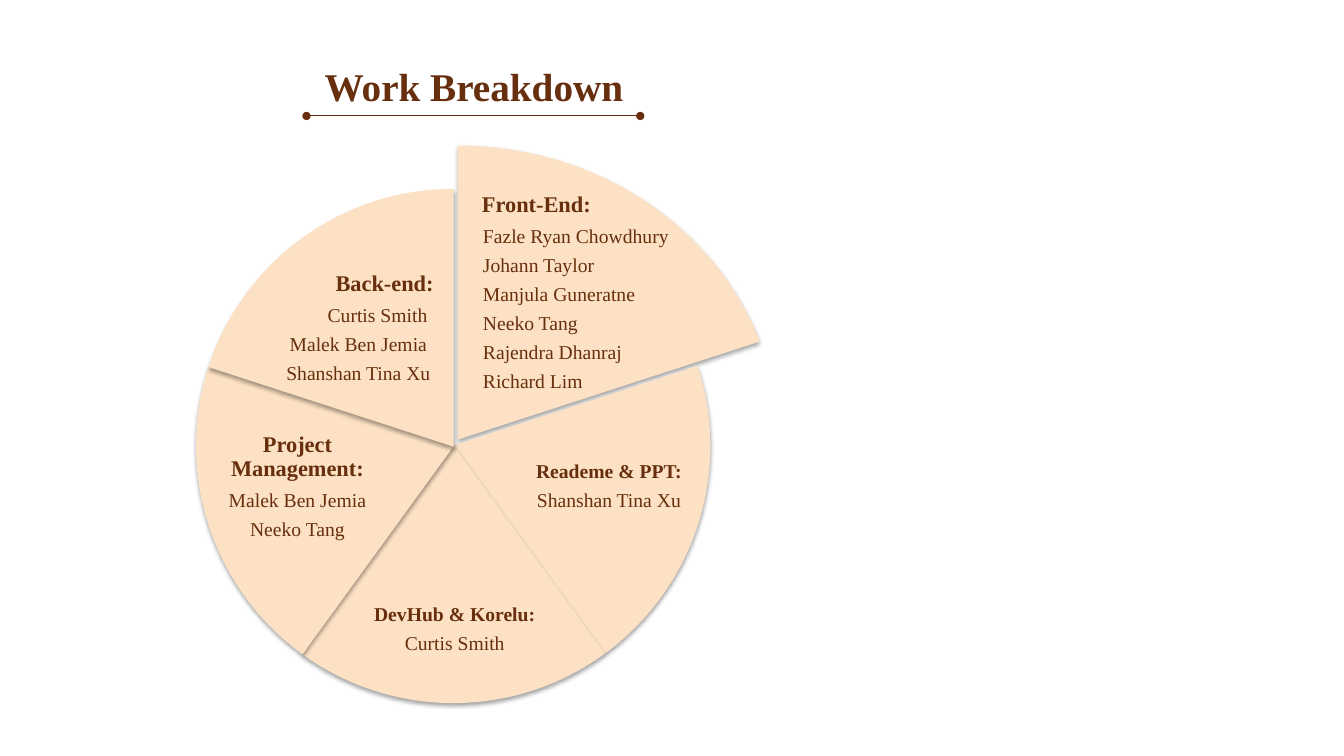
import pptx
import pptx.dml.color
import pptx.enum.shapes
import pptx.enum.text
import pptx.oxml
import pptx.oxml.ns
import pptx.util
from dataclasses import dataclass

Inches = pptx.util.Inches
Pt = pptx.util.Pt
Align = pptx.enum.text.PP_ALIGN
Anchor = pptx.enum.text.MSO_ANCHOR


@dataclass(frozen=True)
class Theme:
    brown: str = "672F0D"
    peach: str = "FCE1C4"
    shadow: str = "000000"
    font: str = "Times New Roman"
    title: int = 28
    heading: int = 16
    body: int = 14
    line: float = 0.75
    inset: float = 0.02


class SlideBuilder:
    def __init__(self, slide, theme):
        self.slide = slide
        self.theme = theme

    def color(self, value):
        return pptx.dml.color.RGBColor.from_string(value)

    def box(self, shape, left, top, width, height):
        shape.left, shape.top = Inches(left), Inches(top)
        shape.width, shape.height = Inches(width), Inches(height)

    def style(self, paragraph, size, bold, align):
        paragraph.alignment = align
        for run in paragraph.runs:
            run.font.name = self.theme.font
            run.font.size = Pt(size)
            run.font.bold = bold
            run.font.color.rgb = self.color(self.theme.brown)

    def title(self, text, *place):
        shape = self.slide.shapes.title
        self.box(shape, *place)
        frame = shape.text_frame
        frame.text = text
        frame.auto_size = pptx.enum.text.MSO_AUTO_SIZE.NONE
        frame.vertical_anchor = Anchor.MIDDLE
        self.style(frame.paragraphs[0], self.theme.title, True, Align.CENTER)

    def underline(self, left, right, top):
        connector = self.slide.shapes.add_connector(
            pptx.enum.shapes.MSO_CONNECTOR.STRAIGHT,
            Inches(left), Inches(top), Inches(right), Inches(top))
        connector.line.color.rgb = self.color(self.theme.brown)
        connector.line.width = Pt(self.theme.line)
        outline = connector.line._get_or_add_ln()
        for end in ("a:headEnd", "a:tailEnd"):
            pptx.oxml.ns.qn(end)
            outline.append(pptx.oxml.parse_xml(
                f'<{end} {pptx.oxml.ns.nsdecls("a")} type="oval"/>'))
        connector._element.spPr.append(pptx.oxml.parse_xml(
            f'<a:effectLst {pptx.oxml.ns.nsdecls("a")}/>'))

    def slice(self, start, end, *place):
        shape = self.slide.shapes.add_shape(
            pptx.enum.shapes.MSO_SHAPE.PIE, *map(Inches, place))
        shape.adjustments[0] = start * 0.6
        shape.adjustments[1] = end * 0.6
        shape.fill.solid()
        shape.fill.fore_color.rgb = self.color(self.theme.peach)
        shape.line.color.rgb = self.color(self.theme.peach)
        shape.line.width = Pt(self.theme.line)
        shape.shadow.inherit = False
        effects = shape._element.spPr.find(pptx.oxml.ns.qn("a:effectLst"))
        effects.append(pptx.oxml.parse_xml(
            f'<a:outerShdw {pptx.oxml.ns.nsdecls("a")} blurRad="{Pt(3.1)}" '
            f'dist="{Pt(1.8)}" dir="5400000" rotWithShape="0">'
            f'<a:srgbClr val="{self.theme.shadow}"><a:alpha val="35000"/>'
            f'</a:srgbClr></a:outerShdw>'))

    def team(self, heading, members, place, size, align=Align.CENTER,
             anchor=Anchor.MIDDLE, indents=(), bottom=None):
        shape = self.slide.shapes.add_textbox(*map(Inches, place))
        frame = shape.text_frame
        frame.word_wrap = True
        frame.vertical_anchor = anchor
        inset = Inches(self.theme.inset)
        frame.margin_left = frame.margin_right = frame.margin_top = inset
        frame.margin_bottom = inset if bottom is None else Inches(bottom)
        frame.text = "\n".join([heading, *members])
        for index, paragraph in enumerate(frame.paragraphs):
            points = self.theme.body if index else size
            self.style(paragraph, points, index == 0, align)
            paragraph.line_spacing = 0.9
            paragraph.space_after = Pt(points * 0.4)
            if index < len(indents):
                properties = paragraph._p.get_or_add_pPr()
                properties.set("marL", str(Inches(indents[index])))


def main():
    theme = Theme()
    presentation = pptx.Presentation()
    presentation.slide_width = Inches(13.33)
    presentation.slide_height = Inches(7.5)
    slide = presentation.slides.add_slide(presentation.slide_layouts[5])
    builder = SlideBuilder(slide, theme)
    builder.title("Work Breakdown", 2.85, 0.56, 3.7, 0.59)
    builder.underline(3.04, 6.35, 1.15)

    circle = (1.95, 1.88, 5.09, 5.09)
    front_end = (1.38, 1.45, 6.33, 5.81)
    teams = [
        (front_end, dict(
            heading="Front-End:",
            members=["Fazle Ryan Chowdhury", "Johann Taylor", "Manjula Guneratne",
                     "Neeko Tang", "Rajendra Dhanraj", "Richard Lim"],
            place=(4.63, 2.32, 2.15, 1.35), size=theme.heading,
            align=Align.LEFT, indents=[0.13] + [0.14] * 6, bottom=0.2)),
        (circle, dict(
            heading="Reademe & PPT:", members=["Shanshan Tina Xu"],
            place=(5.28, 4.19, 1.52, 1.28), size=theme.body)),
        (circle, dict(
            heading="DevHub & Korelu:", members=["Curtis Smith"],
            place=(3.6, 5.7, 1.82, 1.09), size=theme.body)),
        (circle, dict(
            heading="Project Management:", members=["Malek Ben Jemia", "Neeko Tang"],
            place=(2.19, 4.19, 1.52, 1.28), size=theme.heading)),
        (circle, dict(
            heading="Back-end:",
            members=["Curtis Smith", "Malek Ben Jemia", "Shanshan Tina Xu"],
            place=(2.69, 2.66, 1.73, 1.18), size=theme.heading,
            anchor=Anchor.BOTTOM, indents=[0.52, 0.38])),
    ]
    sweep = 360 / len(teams)
    for index, (place, team) in enumerate(teams):
        start = (270 + index * sweep) % 360
        builder.slice(start, (start + sweep) % 360, *place)
        builder.team(**team)

    presentation.save("out.pptx")


if __name__ == "__main__":
    main()
